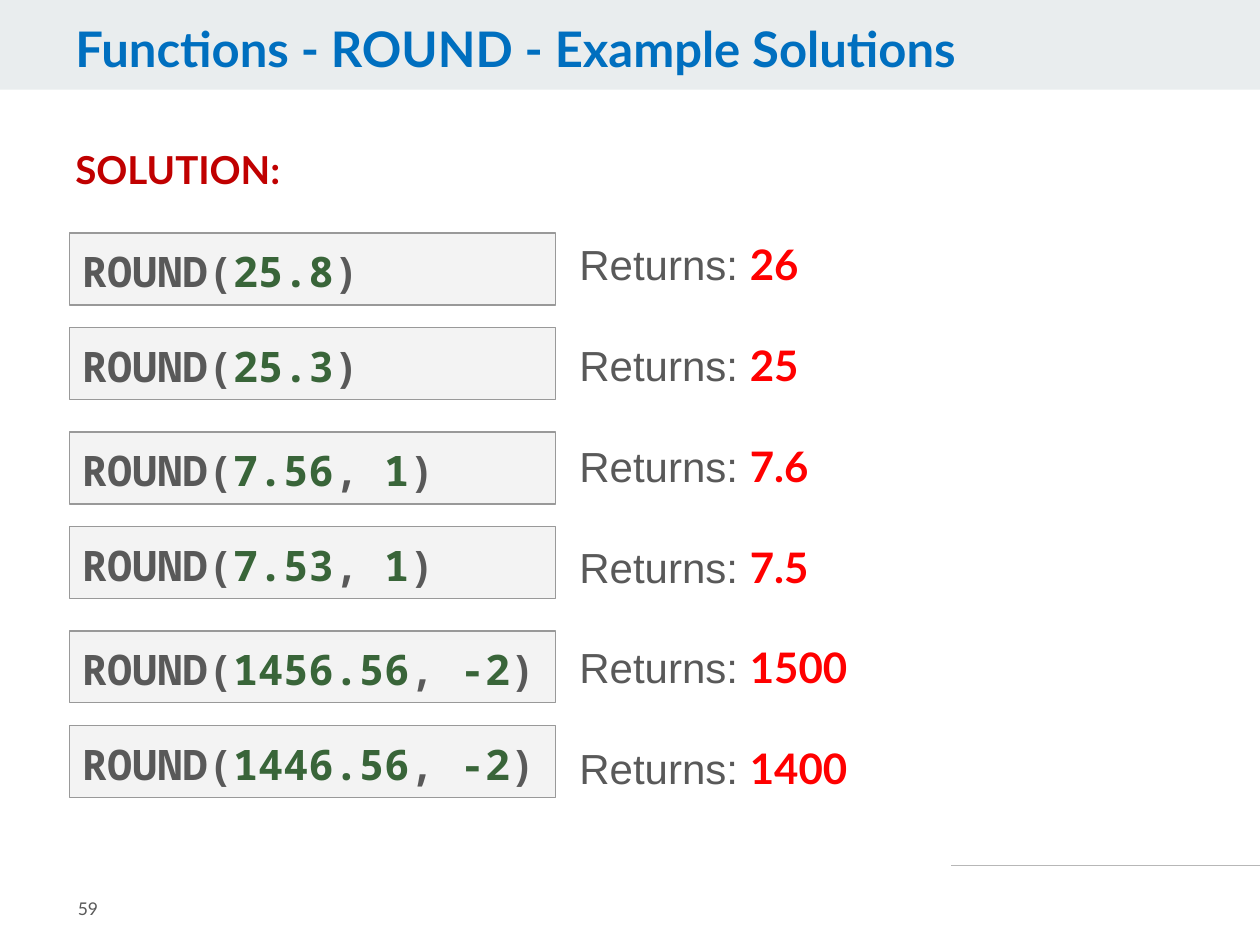
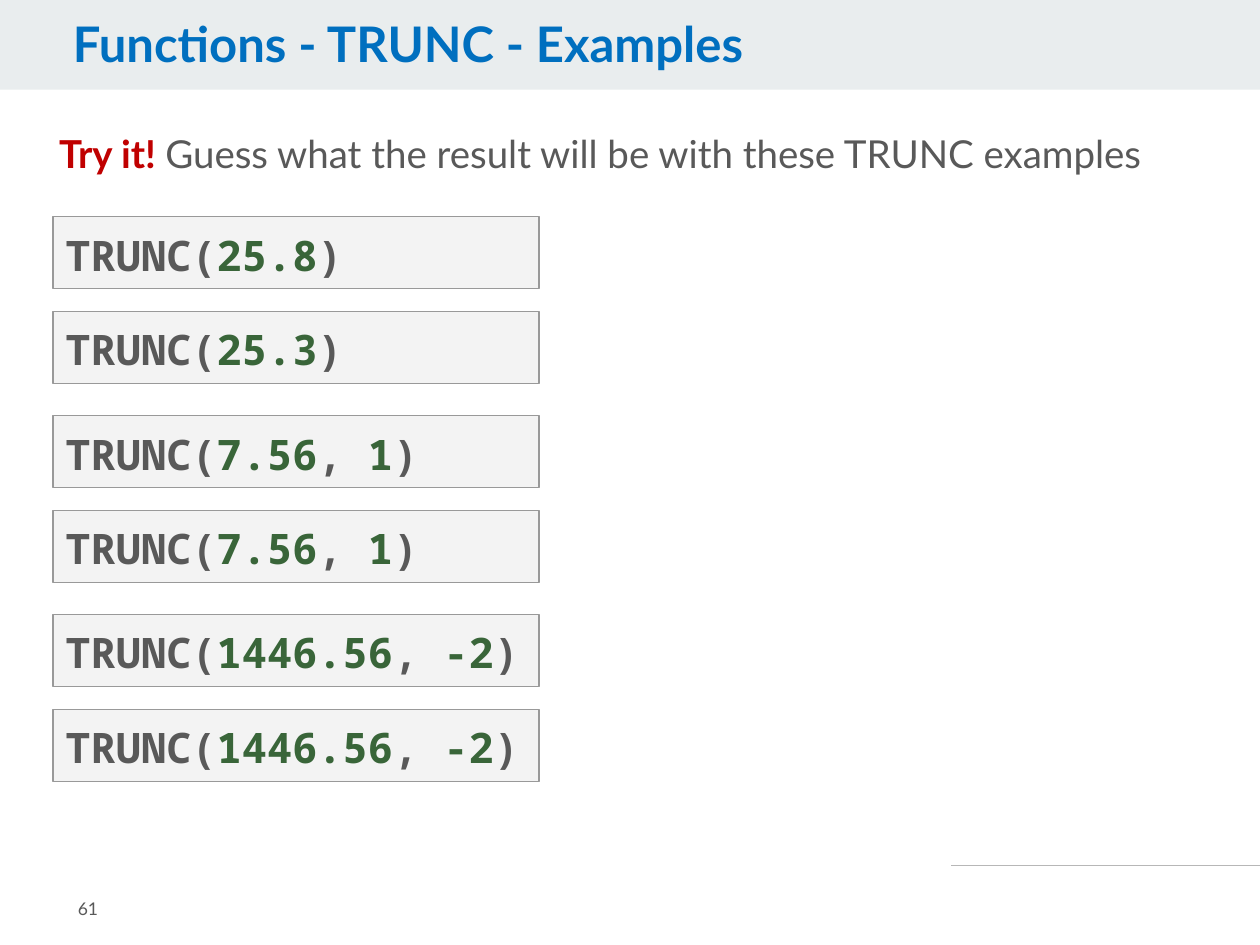
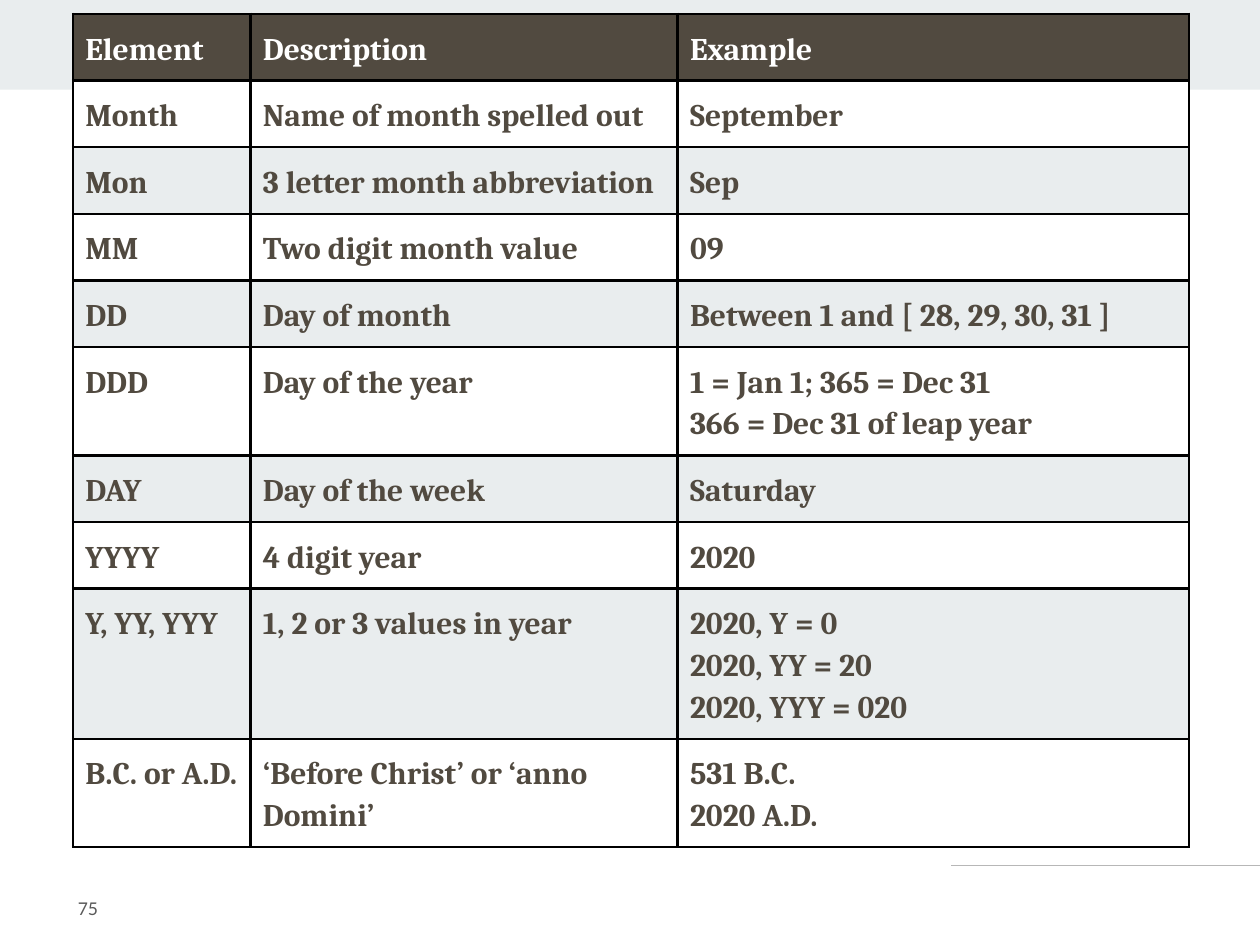
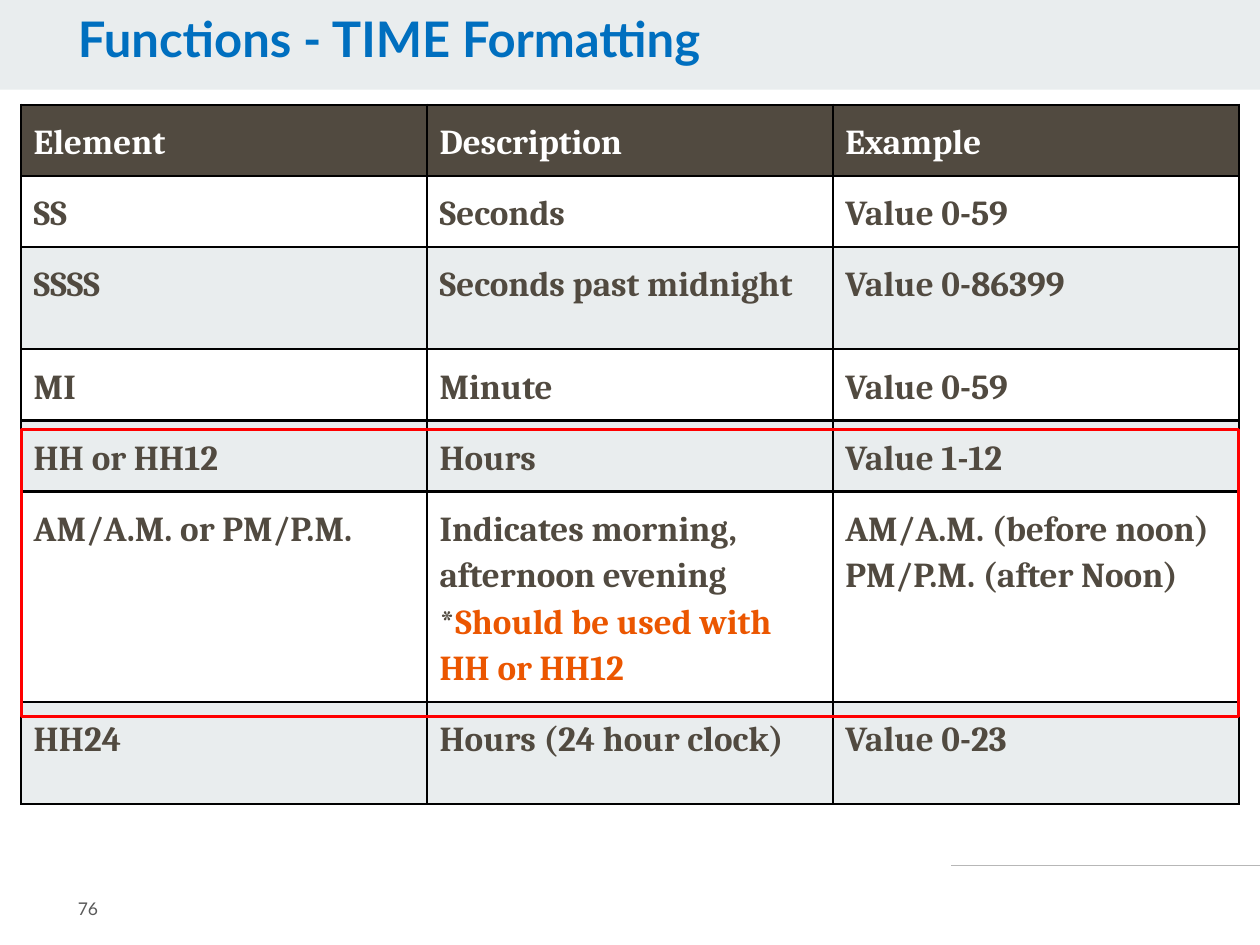
from dataclasses import dataclass
from typing import NamedTuple, Optional

from lxml import etree
from pptx import Presentation
from pptx import util as u
from pptx.dml.color import RGBColor
from pptx.enum import shapes, text
from pptx.oxml import ns


# Theme: colours and text styles
class Style(NamedTuple):
    size: float
    font: str
    color: str
    bold: bool = False


@dataclass(frozen=True)
class Theme:
    band: str = "E9EDEE"
    rule: str = "B7B7B7"
    code_fill: str = "F3F3F3"
    code_line: str = "999999"
    frame: str = "FF0000"
    header_fill: str = "514A40"
    row_fill: str = "FFFFFF"
    border: str = "000000"
    header_text: str = "FFFFFF"
    cell_text: str = "514A40"
    accent_text: str = "EB5600"
    table_font: str = "Cambria"
    title: Style = Style(28, "Lato", "006FBF", True)
    lead: Style = Style(22, "Lato", "C00000", True)
    prompt: Style = Style(22, "Lato", "595959")
    returns: Style = Style(24, "Arial", "595959")
    result: Style = Style(24, "Lato", "FF0000", True)
    code: Style = Style(24, "Noto Sans Mono", "595959", True)
    number: Style = Style(24, "Noto Sans Mono", "396539", True)
    page: Style = Style(10, "Lato", "595959")


T = Theme()


# Content types, with lengths in centimetres
class Box(NamedTuple):
    left: float
    top: float
    width: float
    height: float

    def lengths(self) -> list:
        return [u.Cm(v) for v in self]


class Call(NamedTuple):
    function: str
    args: tuple
    result: Optional[str] = None


class Grid(NamedTuple):
    box: Box
    size: float
    columns: tuple
    heights: tuple
    rows: tuple


PAGE_BOX = Box(1.32, 17.6, 3.12, 1.45)
INSET, TIGHT_INSET = 0.25, 0.13
CODE_WIDTH, CODE_HEIGHT = 9.8, 1.45
CODE_PITCH, PAIR_PITCH = 1.91, 4.01

ROUND_CALLS = (
    Call("ROUND", ("25.8",), "26"),
    Call("ROUND", ("25.3",), "25"),
    Call("ROUND", ("7.56", "1"), "7.6"),
    Call("ROUND", ("7.53", "1"), "7.5"),
    Call("ROUND", ("1456.56", "-2"), "1500"),
    Call("ROUND", ("1446.56", "-2"), "1400"),
)
TRUNC_CALLS = tuple(
    Call("TRUNC", args)
    for args in (("25.8",), ("25.3",), ("7.56", "1"), ("7.56", "1"),
                 ("1446.56", "-2"), ("1446.56", "-2"))
)

HEADER = ("Element", "Description", "Example")
DATE_GRID = Grid(
    Box(1.47, 0.28, 22.5, 17.35), 18, (3.58, 8.61, 10.31),
    (0.58, 0.58, 0.58, 0.58, 0.58, 0.97, 0.58, 0.58, 1.35, 0.97),
    (
        HEADER,
        ("Month", "Name of month spelled out", "September"),
        ("Mon", "3 letter month abbreviation", "Sep"),
        ("MM", "Two digit month value", "09"),
        ("DD", "Day of month", "Between 1 and [ 28, 29, 30, 31 ]"),
        ("DDD", "Day of the year",
         "1 = Jan 1; 365 = Dec 31\n366 = Dec 31 of leap year"),
        ("DAY", "Day of the week", "Saturday"),
        ("YYYY", "4 digit year", "2020"),
        ("Y, YY, YYY", "1, 2 or 3 values in year",
         "2020, Y = 0\n2020, YY = 20\n2020, YYY = 020"),
        ("B.C. or A.D.", "‘Before Christ’ or ‘anno Domini’",
         "531 B.C.\n2020 A.D."),
    ),
)
TIME_GRID = Grid(
    Box(0.43, 2.11, 24.54, 14.45), 20, (8.18, 8.18, 8.18),
    (1.42, 1.42, 2.06, 1.42, 1.42, 2.06, 2.06),
    (
        HEADER,
        ("SS", "Seconds", "Value 0-59"),
        ("SSSS", "Seconds past midnight", "Value 0-86399"),
        ("MI", "Minute", "Value 0-59"),
        ("HH or HH12", "Hours", "Value 1-12"),
        ("AM/A.M. or PM/P.M.",
         "Indicates morning, afternoon evening\n"
         "*Should be used with HH or HH12",
         "AM/A.M. (before noon)\nPM/P.M. (after Noon)"),
        ("HH24", "Hours (24 hour clock)", "Value 0-23"),
    ),
)


# Text helpers
def rgb(color: str) -> RGBColor:
    return RGBColor.from_string(color)


def write(p, *spans: tuple[str, Style]) -> None:
    """Add one formatted run for each (text, style) pair."""
    for words, style in spans:
        r = p.add_run()
        r.text = words
        r.font.size = u.Pt(style.size)
        r.font.name = style.font
        r.font.bold = style.bold
        r.font.color.rgb = rgb(style.color)


def set_frame(tf, across: float = INSET, down: float = INSET,
              anchor=text.MSO_ANCHOR.TOP) -> None:
    tf.word_wrap = True
    tf.auto_size = text.MSO_AUTO_SIZE.NONE
    tf.vertical_anchor = anchor
    tf.margin_left = tf.margin_right = u.Cm(across)
    tf.margin_top = tf.margin_bottom = u.Cm(down)


def set_list_paragraph(p, before: float = 0, margin: float = 0,
                       indent: float = 0) -> None:
    """Drop the bullet and set the indents (cm) and space before (pt)."""
    p.space_before, p.space_after = u.Pt(before), u.Pt(0)
    pPr = p._p.get_or_add_pPr()
    pPr.set("marL", str(u.Cm(margin)))
    pPr.set("indent", str(u.Cm(indent)))
    etree.SubElement(pPr, ns.qn("a:buNone"))


def place(sp, box: Box) -> None:
    sp.left, sp.top, sp.width, sp.height = box.lengths()


# Shared parts
def add_rect(slide, box: Box, fill: Optional[str] = None,
             line: Optional[str] = None, weight: float = 0.75):
    sp = slide.shapes.add_shape(shapes.MSO_SHAPE.RECTANGLE, *box.lengths())
    sp.shadow.inherit = False
    if fill:
        sp.fill.solid()
        sp.fill.fore_color.rgb = rgb(fill)
    else:
        sp.fill.background()
    if line:
        sp.line.color.rgb = rgb(line)
        sp.line.width = u.Pt(weight)
    else:
        sp.line.fill.background()
    return sp


def decorate_master(prs, slide) -> None:
    """Draw the title band and footer rule, then move them to the master."""
    band = add_rect(slide, Box(0, 0, 25.4, 1.81), T.band)
    rule = slide.shapes.add_connector(
        shapes.MSO_CONNECTOR.STRAIGHT,
        u.Cm(19.18), u.Cm(17.45), u.Cm(25.43), u.Cm(17.45))
    rule.line.color.rgb = rgb(T.rule)
    rule.line.width = u.Pt(0.75)
    etree.SubElement(rule.element.spPr, ns.qn("a:effectLst"))
    for number, sp in enumerate((band, rule), start=101):
        sp.element.xpath(".//p:cNvPr")[0].set("id", str(number))
        prs.slide_master.shapes.element.insert(2, sp.element)


def add_title(slide, words: str, box: Box) -> None:
    sp = slide.shapes.title
    place(sp, box)
    set_frame(sp.text_frame, INSET, TIGHT_INSET)
    p = sp.text_frame.paragraphs[0]
    p.alignment = text.PP_ALIGN.LEFT
    p.line_spacing = 0.9
    write(p, (words, T.title))


def add_page_number(slide, number: int) -> None:
    tf = slide.shapes.add_textbox(*PAGE_BOX.lengths()).text_frame
    set_frame(tf, anchor=text.MSO_ANCHOR.MIDDLE)
    write(tf.paragraphs[0], (str(number), T.page))


def start_body(slide, box: Box, *spans: tuple[str, Style]):
    sp = slide.placeholders[1]
    place(sp, box)
    tf = sp.text_frame
    set_frame(tf, INSET, TIGHT_INSET)
    set_list_paragraph(tf.paragraphs[0])
    write(tf.paragraphs[0], *spans)
    return tf


def add_calls(slide, calls: tuple, left: float, top: float) -> None:
    """Stack the code boxes in pairs."""
    for i, call in enumerate(calls):
        pair, second = divmod(i, 2)
        y = top + pair * PAIR_PITCH + second * CODE_PITCH
        sp = add_rect(slide, Box(left, y, CODE_WIDTH, CODE_HEIGHT),
                      T.code_fill, T.code_line)
        set_frame(sp.text_frame)
        p = sp.text_frame.paragraphs[0]
        p.alignment = text.PP_ALIGN.LEFT
        write(p, (call.function + "(", T.code))
        for k, arg in enumerate(call.args):
            if k:
                write(p, (", ", T.code))
            write(p, (arg, T.number))
        write(p, (")", T.code))


# Tables
def set_borders(cell) -> None:
    tcPr = cell._tc.get_or_add_tcPr()
    for side in ("lnL", "lnR", "lnT", "lnB"):
        ln = etree.SubElement(tcPr, ns.qn("a:" + side), w=str(u.Pt(1.5)))
        fill = etree.SubElement(ln, ns.qn("a:solidFill"))
        etree.SubElement(fill, ns.qn("a:srgbClr"), val=T.border)


def fill_cell(cell, words: str, fill: str, style: Style) -> None:
    set_borders(cell)
    cell.fill.solid()
    cell.fill.fore_color.rgb = rgb(fill)
    cell.margin_left = cell.margin_right = u.Cm(INSET)
    cell.margin_top = cell.margin_bottom = u.Cm(INSET)
    tf = cell.text_frame
    for i, line in enumerate(words.split("\n")):
        p = tf.add_paragraph() if i else tf.paragraphs[0]
        p.line_spacing = 1.15
        if line.startswith("*"):
            write(p, ("*", style),
                  (line[1:], style._replace(color=T.accent_text)))
        else:
            write(p, (line, style))


def add_grid(slide, grid: Grid) -> None:
    frame = slide.shapes.add_table(
        len(grid.rows), len(grid.columns), *grid.box.lengths())
    table = frame.table
    table.horz_banding = False
    for column, width in zip(table.columns, grid.columns):
        column.width = u.Cm(width)
    for i, (row, height) in enumerate(zip(table.rows, grid.heights)):
        row.height = u.Cm(height)
        if i == 0:
            fill, color = T.header_fill, T.header_text
        else:
            fill, color = (T.row_fill if i % 2 else T.band), T.cell_text
        style = Style(grid.size, T.table_font, color, True)
        for cell, words in zip(row.cells, grid.rows[i]):
            fill_cell(cell, words, fill, style)
    frame.height = u.Cm(grid.box.height)


# Slides
def build_round(slide) -> None:
    add_title(slide, "Functions - ROUND - Example Solutions",
              Box(1.27, 0.38, 20.02, 1.4))
    tf = start_body(slide, Box(1.27, 2.82, 23.52, 13.08),
                    ("SOLUTION:", T.lead))
    for i, call in enumerate(ROUND_CALLS):
        p = tf.add_paragraph()
        set_list_paragraph(p, 28.8 if i else 26.4, 8.89, 1.27)
        write(p, ("Returns: ", T.returns), (call.result, T.result))
    add_calls(slide, ROUND_CALLS, 1.4, 4.7)


def build_trunc(slide) -> None:
    add_title(slide, "Functions - TRUNC - Examples",
              Box(1.22, 0.28, 20.02, 1.4))
    start_body(
        slide, Box(0.94, 2.49, 23.57, 13.08), ("Try it! ", T.lead),
        ("Guess what the result will be with these TRUNC examples", T.prompt))
    add_calls(slide, TRUNC_CALLS, 1.07, 4.37)


def build_date(slide) -> None:
    add_grid(slide, DATE_GRID)


def build_time(slide) -> None:
    add_grid(slide, TIME_GRID)
    add_title(slide, "Functions - TIME Formatting",
              Box(1.32, 0.18, 22.71, 1.4))
    add_rect(slide, Box(0.43, 8.66, 24.54, 5.79), line=T.frame, weight=2)


def main() -> None:
    prs = Presentation()
    prs.slide_width, prs.slide_height = u.Cm(25.4), u.Cm(19.05)
    content, title_only, blank = (prs.slide_layouts[i] for i in (1, 5, 6))
    pages = (
        (59, content, build_round),
        (61, content, build_trunc),
        (75, blank, build_date),
        (76, title_only, build_time),
    )
    for number, layout, build in pages:
        slide = prs.slides.add_slide(layout)
        build(slide)
        add_page_number(slide, number)
    decorate_master(prs, prs.slides[0])
    prs.save("out.pptx")


if __name__ == "__main__":
    main()
